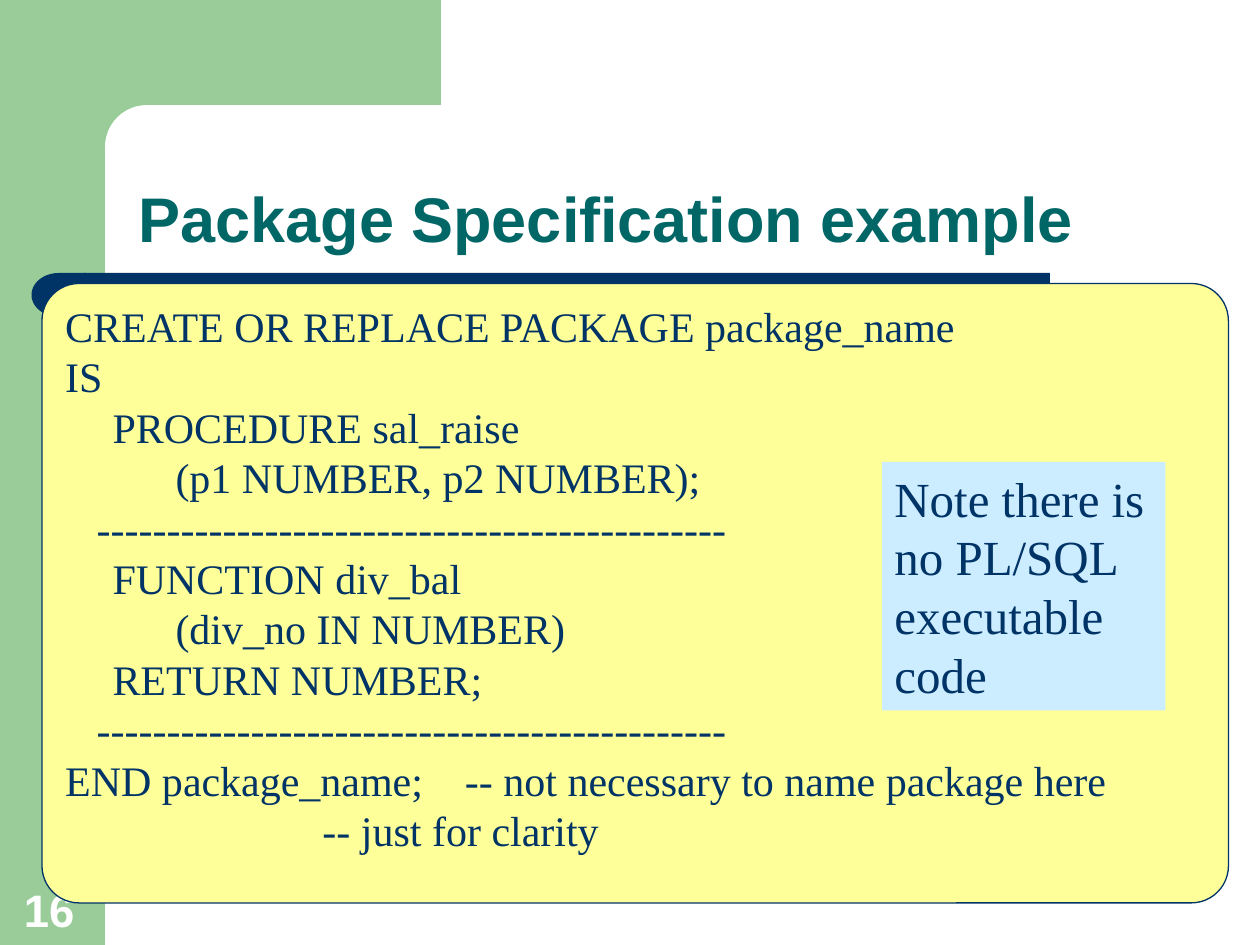
from lxml.etree import SubElement
from pptx import Presentation
from pptx.dml.color import RGBColor
from pptx.enum.shapes import MSO_SHAPE
from pptx.enum.text import MSO_ANCHOR, PP_ALIGN
from pptx.oxml.ns import qn
from pptx.util import Pt

# Content
TITLE = "Package Specification example"
DIVIDER = "   " + "-" * 45
CODE = [
    "CREATE OR REPLACE PACKAGE package_name",
    "IS",
    "\tPROCEDURE sal_raise",
    "\t\t(p1 NUMBER, p2 NUMBER);",
    DIVIDER,
    "\tFUNCTION div_bal",
    "\t\t(div_no IN NUMBER)",
    "\tRETURN NUMBER;",
    DIVIDER,
    "END package_name;    -- not necessary to name package here",
    "\t\t\t\t  -- just for clarity",
]
NOTE = "Note there is no PL/SQL executable code"
PAGE_NUMBER = "16"

THEME = {
    "heading_font": "Arial", "body_font": "Times New Roman",
    "title_size": 36, "note_size": 28, "number_size": 26, "code_size": 24,
    "green": "99CC99", "teal": "006666", "navy": "003366",
    "yellow": "FFFF99", "sky": "CCECFF", "white": "FFFFFF",
}
LEADING = 1.2
CODE_INDENT = 27
TAB_STOPS = [72 * inch for inch in range(8)]

# Decoration: preset, (left, top, width, height), colour, corner, rotation
DECORATION = [
    (MSO_SHAPE.RECTANGLE, (0, 0, 60, 540), "green", None, 0),
    (MSO_SHAPE.RECTANGLE, (54, 0, 198, 84), "green", None, 0),
    (MSO_SHAPE.ROUNDED_RECTANGLE, (60, 60, 402, 48), "white", 0.5, 0),
    (MSO_SHAPE.RECTANGLE, (48, 156, 552, 25), "navy", None, 0),
    (MSO_SHAPE.FLOWCHART_DELAY, (18, 156, 31, 25), "navy", None, 180),
]


def color(name):
    return RGBColor.from_string(THEME[name])


def add_panel(slide, preset, box, fill, corner=None, rotation=0, line=None):
    panel = slide.shapes.add_shape(preset, *map(Pt, box))
    panel.shadow.inherit = False
    panel.fill.solid()
    panel.fill.fore_color.rgb = color(fill)
    if line:
        panel.line.color.rgb = color(line)
        panel.line.width = Pt(0.75)
    else:
        panel.line.fill.background()
    if corner is not None:
        panel.adjustments[0] = corner
    panel.rotation = rotation
    return panel


def write(holder, lines, *, font, size, ink, bold=False, spacing=None,
          anchor=MSO_ANCHOR.TOP, hanging=0, tabs=()):
    frame = holder.text_frame
    frame.word_wrap = True
    frame.vertical_anchor = anchor
    for index, line in enumerate(lines):
        paragraph = frame.paragraphs[0] if index == 0 else frame.add_paragraph()
        paragraph.alignment = PP_ALIGN.LEFT
        if spacing:
            paragraph.line_spacing = spacing
        properties = paragraph._p.get_or_add_pPr()
        if hanging:
            properties.set("marL", str(Pt(hanging)))
            properties.set("indent", str(-Pt(hanging)))
        if tabs:
            tab_list = SubElement(properties, qn("a:tabLst"))
            for stop in tabs:
                SubElement(tab_list, qn("a:tab"), pos=str(Pt(stop)), algn="l")
        run = paragraph.add_run()
        run.text = line
        run.font.name = THEME[font]
        run.font.size = Pt(THEME[size])
        run.font.bold = bold
        run.font.color.rgb = color(ink)


def main():
    deck = Presentation()
    deck.slide_width, deck.slide_height = Pt(720), Pt(540)
    slide = deck.slides.add_slide(deck.slide_layouts[5])

    # Background decoration
    for preset, box, fill, corner, rotation in DECORATION:
        add_panel(slide, preset, box, fill, corner, rotation)

    # Page number
    number = slide.shapes.add_textbox(Pt(6.5), Pt(500), Pt(46), Pt(39))
    write(number, [PAGE_NUMBER], font="heading_font", size="number_size",
          ink="white", bold=True, anchor=MSO_ANCHOR.BOTTOM)

    # Title, raised above the decoration
    title = slide.shapes.title
    title.left, title.top, title.width, title.height = map(Pt, (72, 60, 630, 90))
    title.element.getparent().append(title.element)
    write(title, [TITLE], font="heading_font", size="title_size", ink="teal",
          bold=True, spacing=0.9, anchor=MSO_ANCHOR.BOTTOM)

    # Code listing
    listing = add_panel(slide, MSO_SHAPE.ROUNDED_RECTANGLE, (24, 162, 678, 354),
                        "yellow", corner=0.06, line="navy")
    write(listing, CODE, font="body_font", size="code_size", ink="navy",
          spacing=Pt(LEADING * THEME["code_size"]), hanging=CODE_INDENT,
          tabs=TAB_STOPS)

    # Side note
    note = add_panel(slide, MSO_SHAPE.RECTANGLE, (504, 264, 162, 142), "sky")
    write(note, [NOTE], font="body_font", size="note_size", ink="navy",
          spacing=Pt(LEADING * THEME["note_size"]))

    deck.save("out.pptx")


if __name__ == "__main__":
    main()
